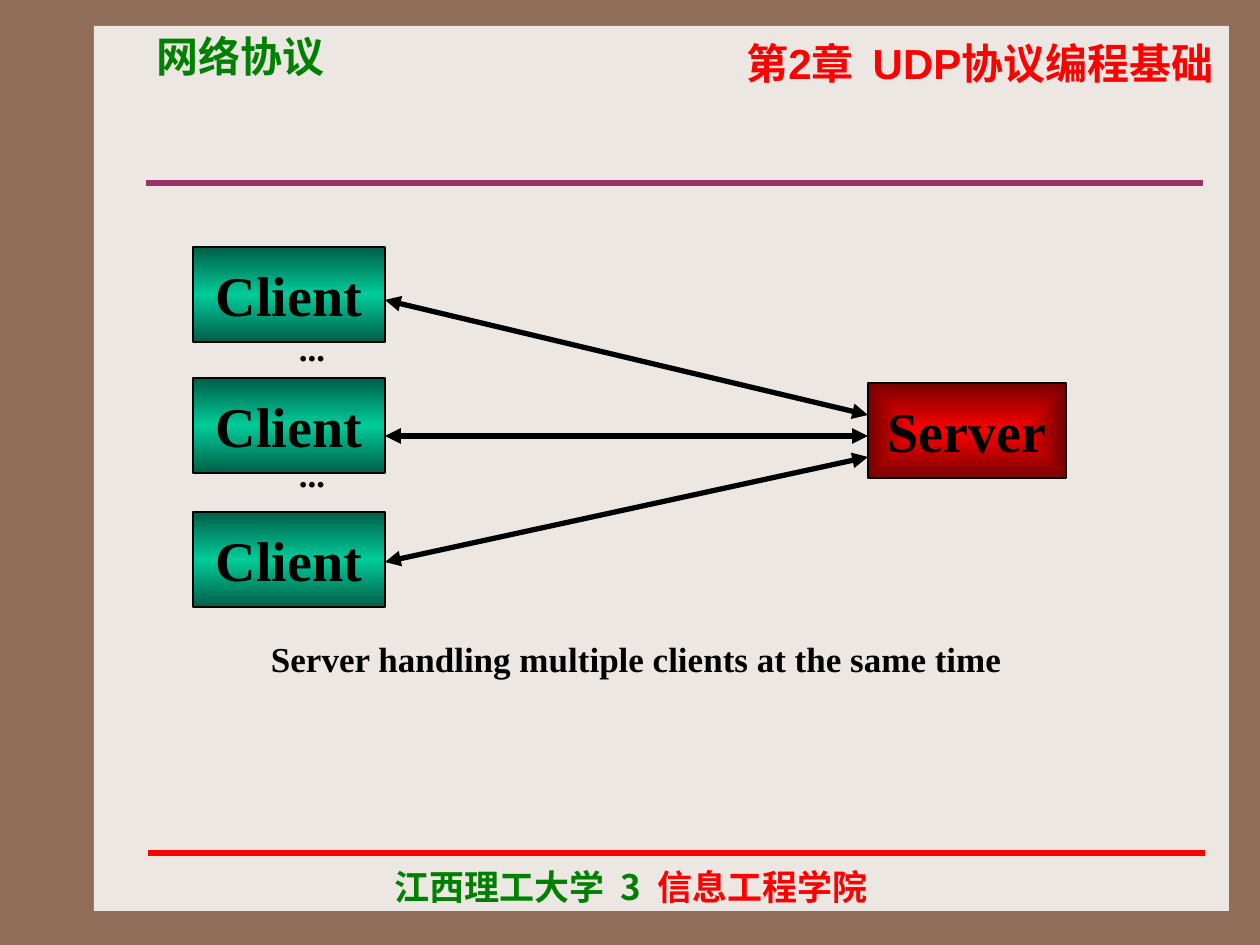
from lxml import etree
from pptx import Presentation
from pptx.dml.color import RGBColor
from pptx.enum.shapes import MSO_CONNECTOR, MSO_SHAPE
from pptx.enum.text import MSO_ANCHOR, MSO_AUTO_SIZE, PP_ALIGN
from pptx.oxml import parse_xml
from pptx.oxml.ns import nsdecls, qn
from pptx.util import Pt

RECT = MSO_SHAPE.RECTANGLE
LINE = MSO_CONNECTOR.STRAIGHT
LEFT, MID, RIGHT = PP_ALIGN.LEFT, PP_ALIGN.CENTER, PP_ALIGN.RIGHT
TOP, CENTER = MSO_ANCHOR.TOP, MSO_ANCHOR.MIDDLE
FIXED = MSO_AUTO_SIZE.NONE
PX = 914400 / 126
SERIF, SANS, HAN = "Times New Roman", "Arial", "Noto Sans CJK SC"
HEX = {"frame": "906D58", "panel": "EDE7E3", "green": "008000", "red": "FF0000",
       "plum": "993366", "black": "000000", "pine": "005E47", "mint": "00CC99",
       "wine": "760000"}


def write(shape, parts, size, font, align, anchor=TOP, wrap=True):
    """Fill a shape with one bold paragraph of (text, color) runs."""
    frame = shape.text_frame
    frame.auto_size = FIXED
    frame.word_wrap = wrap
    frame.vertical_anchor = anchor
    para = frame.paragraphs[0]
    para.alignment = align
    para.font.size, para.font.name, para.font.bold = Pt(size), font, True
    for text, color in parts:
        run = para.add_run()
        run.text = text
        run.font.color.rgb = RGBColor.from_string(HEX[color])


def draw(ends, color, arrows=False):
    """Draw a straight line, with arrowheads at both ends if asked."""
    line = slide.shapes.add_connector(LINE, *[round(n * PX) for n in ends])
    line.line.width = Pt(3)
    line.line.color.rgb = RGBColor.from_string(HEX[color])
    if arrows:
        for tag in ("a:headEnd", "a:tailEnd"):
            etree.SubElement(line.line._get_or_add_ln(), qn(tag), type="triangle")
    etree.SubElement(line._element.spPr, qn("a:effectLst"))


deck = Presentation()
deck.slide_width, deck.slide_height = round(1260 * PX), round(945 * PX)
slide = deck.slides.add_slide(deck.slide_layouts[5])
slide.background.fill.solid()
slide.background.fill.fore_color.rgb = RGBColor.from_string(HEX["frame"])

# Panel behind everything
panel = slide.shapes.add_shape(RECT, *[round(n * PX) for n in (94, 26, 1135, 885)])
panel.shadow.inherit = False
panel.fill.solid()
panel.fill.fore_color.rgb = RGBColor.from_string(HEX["panel"])
panel.line.fill.background()

# Chapter title, lifted above the panel
title = slide.shapes.title
slide.shapes._spTree.append(title._element)
title.left, title.top, title.width, title.height = [
    round(n * PX) for n in (640, 31, 586, 63)]
write(title, [("第2章  UDP协议编程基础", "red")], 24, SANS, RIGHT)

# Header, footer, dots and caption
texts = [
    ((382, 859, 556, 106), [("江西理工大学  3  ", "green"), ("信息工程学院", "red")],
     20, HAN, LEFT),
    ((144, 24, 328, 63), [("网络协议", "green")], 24, SANS, LEFT),
    ((270, 320, 84, 55), [("...", "black")], 20, SERIF, MID),
    ((270, 446, 84, 55), [("...", "black")], 20, SERIF, MID),
    ((144, 631, 985, 55),
     [("Server handling multiple clients at the same time", "black")], 20, SERIF, MID),
]
for place, parts, size, font, align in texts:
    box = slide.shapes.add_textbox(*[round(n * PX) for n in place])
    write(box, parts, size, font, align)

# Rules under the header and above the footer
draw((146, 183, 1203, 183), "plum")
draw((148, 853, 1205, 853), "red")

# Client and server boxes with gradients
band = ([(0, "pine"), (50, "mint"), (100, "pine")], '<a:lin ang="5400000" scaled="1"/>')
glow = ([(0, "red"), (100, "wine")],
        '<a:path path="rect"><a:fillToRect l="50000" t="50000" r="50000" b="50000"/></a:path>')
nodes = [("Client", (193, y, 192, 95), band) for y in (247, 378, 512)]
nodes.append(("Server", (868, 383, 198, 95), glow))
for name, place, (stops, shade) in nodes:
    node = slide.shapes.add_shape(RECT, *[round(n * PX) for n in place])
    node.shadow.inherit = False
    node.line.width = Pt(0.75)
    node.line.color.rgb = RGBColor.from_string(HEX["black"])
    marks = "".join(f'<a:gs pos="{at * 1000}"><a:srgbClr val="{HEX[color]}"/></a:gs>'
                    for at, color in stops)
    fill = f'<a:gradFill {nsdecls("a")}><a:gsLst>{marks}</a:gsLst>{shade}</a:gradFill>'
    node._element.spPr.find(qn("a:prstGeom")).addnext(parse_xml(fill))
    write(node, [(name, "black")], 32, SERIF, MID, CENTER, False)

# Two-way links from each client to the server
for start, end in ((300, 415), (436, 436), (562, 457)):
    draw((385, start, 868, end), "black", True)

deck.save("out.pptx")
